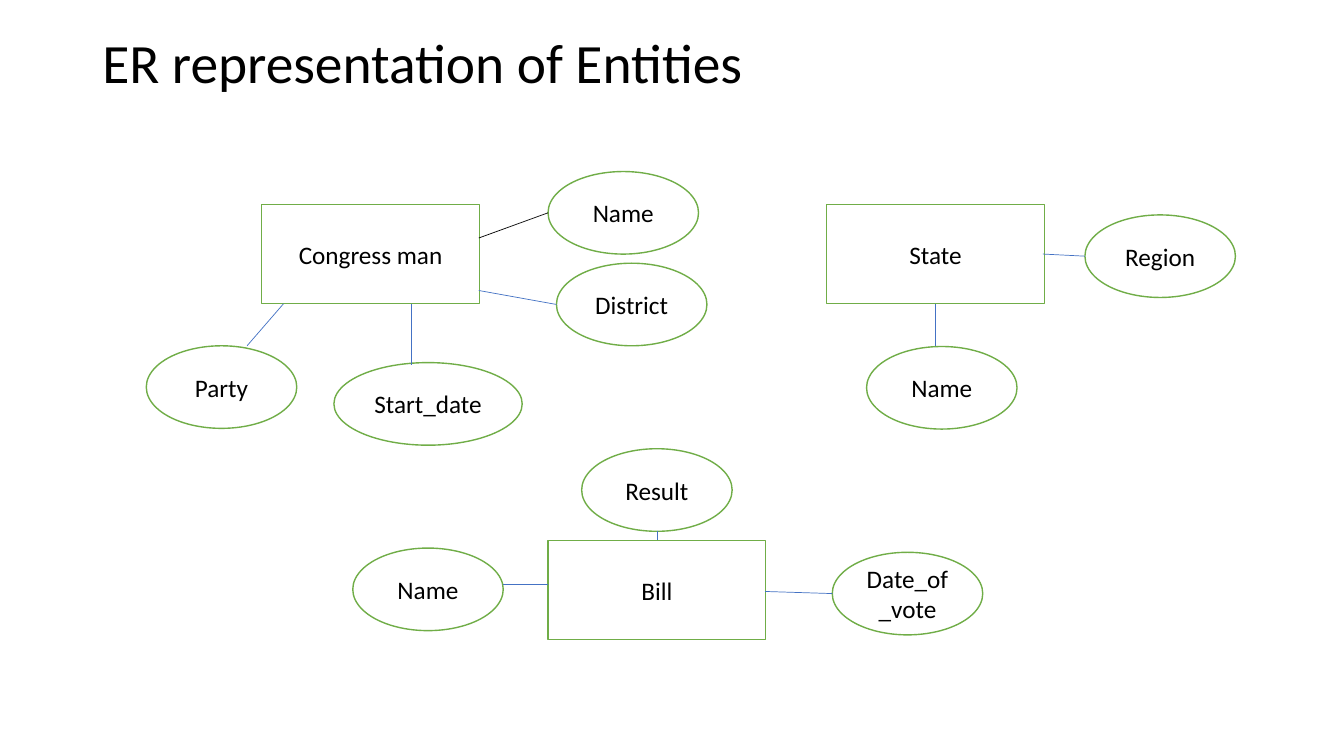
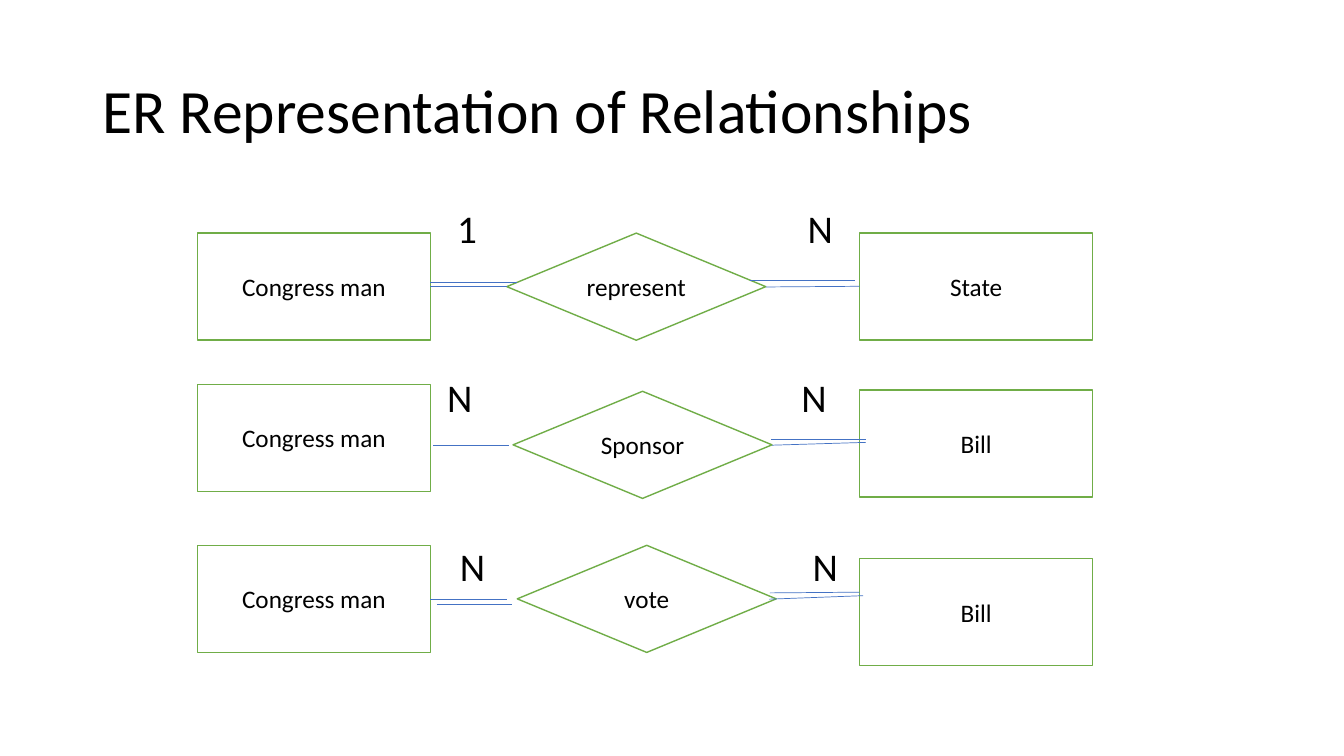
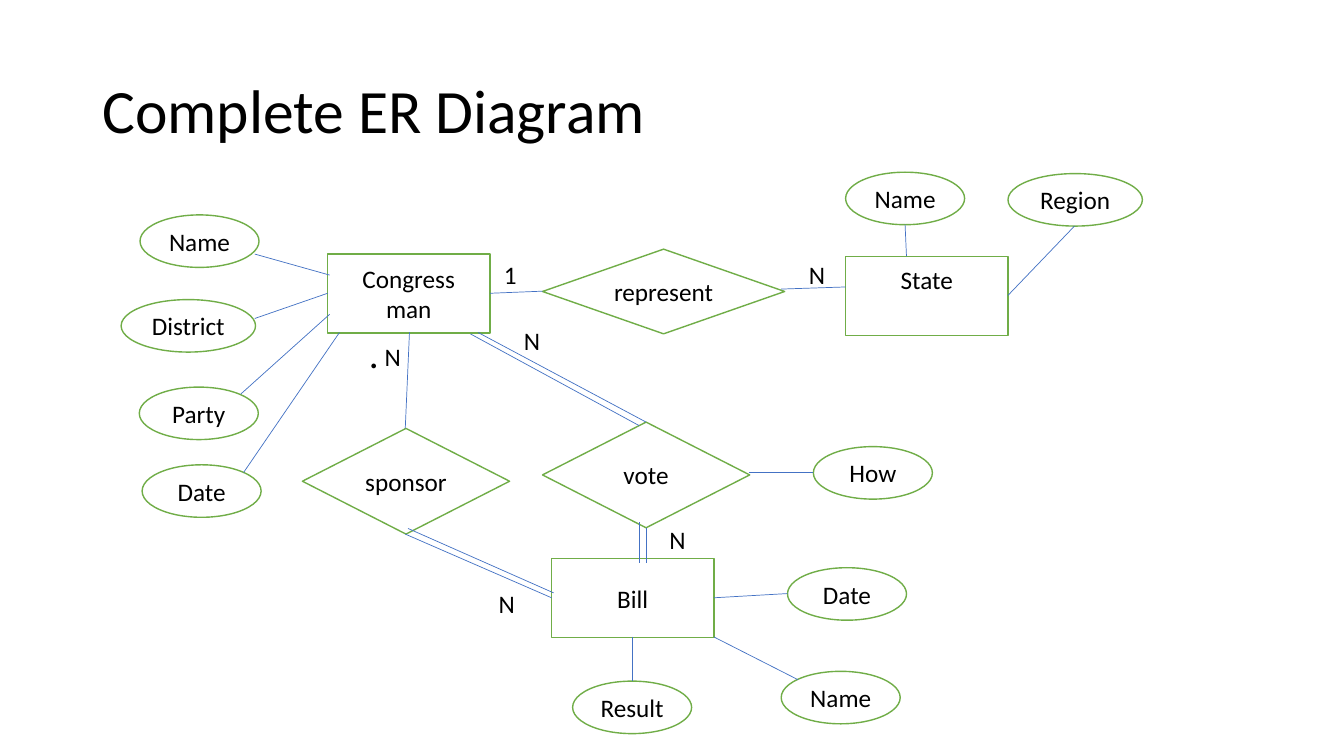
from lxml.etree import SubElement
from pptx import Presentation
from pptx.dml.color import RGBColor
from pptx.enum.shapes import MSO_CONNECTOR, MSO_SHAPE
from pptx.enum.text import MSO_ANCHOR, PP_ALIGN
from pptx.oxml.ns import qn
from pptx.util import Pt

FONT = "Calibri"
BLACK, WHITE, GREEN, BLUE = "000000", "FFFFFF", "70AD47", "4472C4"


def color(value):
    """Turn a hex string into a colour."""
    return RGBColor.from_string(value)


def write_text(frame, text, size=18, align=PP_ALIGN.CENTER, anchor=MSO_ANCHOR.MIDDLE,
               spacing=1.0, side_margin=7.2, top_margin=3.6):
    """Fill a text frame, one paragraph for each line of text."""
    frame.word_wrap = True
    frame.vertical_anchor = anchor
    frame.margin_left = frame.margin_right = Pt(side_margin)
    frame.margin_top, frame.margin_bottom = Pt(top_margin), Pt(3.6)
    for index, line in enumerate(text.split("\n")):
        paragraph = frame.paragraphs[0] if index == 0 else frame.add_paragraph()
        paragraph.alignment = align
        paragraph.line_spacing = spacing
        run = paragraph.add_run()
        run.text = line
        run.font.name = FONT
        run.font.size = Pt(size)
        run.font.color.rgb = color(BLACK)


class Diagram:
    """Draws entity-relationship slides in one style."""

    def __init__(self):
        """Start an empty widescreen presentation."""
        self.presentation = Presentation()
        self.presentation.slide_width = Pt(960)
        self.presentation.slide_height = Pt(540)
        self.slide = None

    def new_slide(self, title, size=44, height=104.5):
        """Add a blank slide with its title."""
        self.slide = self.presentation.slides.add_slide(self.presentation.slide_layouts[6])
        box = self.slide.shapes.add_textbox(Pt(66), Pt(28.8), Pt(828), Pt(height))
        write_text(box.text_frame, title, size=size, align=PP_ALIGN.LEFT, spacing=0.9)

    def node(self, kind, text, left, top, width, height, **text_format):
        """Add a white shape with a green outline and centred text."""
        shape = self.slide.shapes.add_shape(kind, Pt(left), Pt(top), Pt(width), Pt(height))
        shape.shadow.inherit = False
        shape.fill.solid()
        shape.fill.fore_color.rgb = color(WHITE)
        shape.line.color.rgb = color(GREEN)
        shape.line.width = Pt(1)
        write_text(shape.text_frame, text, **text_format)

    def entity(self, *place, **text_format):
        """Add an entity rectangle."""
        self.node(MSO_SHAPE.RECTANGLE, *place, **text_format)

    def attribute(self, *place, **text_format):
        """Add an attribute ellipse."""
        self.node(MSO_SHAPE.OVAL, *place, **text_format)

    def relationship(self, *place, **text_format):
        """Add a relationship diamond."""
        self.node(MSO_SHAPE.DIAMOND, *place, **text_format)

    def label(self, text, center_x, center_y, size=18):
        """Add a short text centred on a point."""
        width, height = 51, 44
        box = self.slide.shapes.add_textbox(
            Pt(center_x - width / 2), Pt(center_y - height / 2), Pt(width), Pt(height))
        write_text(box.text_frame, text, size=size)

    def link(self, start_x, start_y, end_x, end_y, line_color=BLUE):
        """Add a thin straight line."""
        connector = self.slide.shapes.add_connector(
            MSO_CONNECTOR.STRAIGHT, Pt(start_x), Pt(start_y), Pt(end_x), Pt(end_y))
        connector.line.color.rgb = color(line_color)
        connector.line.width = Pt(0.5)
        SubElement(connector._element.spPr, qn("a:effectLst"))

    def links(self, ends):
        """Add a line for each group of four coordinates."""
        for end in ends:
            self.link(*end)


def draw_entities(diagram):
    """Draw the entities with their attributes."""
    diagram.new_slide("ER representation of Entities", size=39.6, height=36)
    for text, left, top in [("Congress man", 187, 146), ("State", 590.5, 146),
                            ("Bill", 391.5, 386)]:
        diagram.entity(text, left, top, 155.5, 71)
    for text, left, top in [
            ("Party", 104.5, 247), ("District", 397.5, 188), ("Name", 391.5, 122.5),
            ("Region", 775, 153.5), ("Name", 619, 247.5), ("Result", 415.5, 320.5),
            ("Name", 252, 391.5), ("Date_of_vote", 594.5, 394.5)]:
        diagram.attribute(text, left, top, 107.5, 59)
    diagram.attribute("Start_date", 238.5, 259, 134.5, 59)
    diagram.link(342, 170, 391.5, 152, line_color=BLACK)
    diagram.links([
        (342, 207.5, 397.5, 217.5), (294, 217, 294, 260.5), (202.5, 217, 176.5, 247),
        (745, 181.5, 775, 183), (668, 217, 668, 247.5), (469.5, 379.5, 469.5, 386),
        (359.5, 417.5, 391.5, 417.5), (594.5, 424, 546.5, 422.5)])


def draw_relationships(diagram):
    """Draw one row for each relationship."""
    diagram.new_slide("ER Representation of Relationships")
    rows = [
        ("represent", 362, 166.5, 166.5, "State", 166.5, ("1", 333.5), ("N", 586)),
        ("Sponsor", 366.5, 279.5, 274.5, "Bill", 278.5, ("N", 328.5), ("N", 581.5)),
        ("vote", 369.5, 389.5, 389.5, "Bill", 399, ("N", 337.5), ("N", 589.5))]
    for row, (verb, verb_left, verb_top, left_top, target, target_top,
              *cardinalities) in enumerate(rows):
        diagram.entity("Congress man", 141, left_top, 166.5, 76.5)
        diagram.entity(target, 614, target_top, 166.5, 76.5)
        diagram.relationship(verb, verb_left, verb_top, 185, 76.5)
        for text, center_x in cardinalities:
            diagram.label(text, center_x, 163 + 120.5 * row, size=28)
    diagram.links([
        (307.5, 204.5, 362, 204.5), (307.5, 202, 369.5, 202),
        (547, 205, 614, 204.5), (535.5, 200, 610.5, 200),
        (309.5, 318, 363.5, 318),
        (551.5, 318, 618.5, 316), (551, 314, 618.5, 314),
        (307.5, 428, 362, 428), (312, 432, 366, 432),
        (549.5, 428, 616.5, 425.5), (550, 423.5, 614, 423)])


def draw_complete_diagram(diagram):
    """Draw all entities, attributes and relationships together."""
    diagram.new_slide("Complete ER Diagram")
    diagram.entity("Congress\nman", 234, 181.5, 116, 56.5)
    diagram.entity("Bill", 394, 399, 116, 56.5)
    diagram.entity("State", 604, 183, 116, 56.5, anchor=MSO_ANCHOR.TOP, top_margin=6)
    for text, left, top, width in [
            ("Name", 100, 153.5, 85), ("District", 86.5, 214, 96), ("Party", 99.5, 276.5, 85),
            ("Date", 101.5, 332, 85), ("Name", 604, 123, 85), ("Region", 720, 124, 96),
            ("How", 581, 319, 85), ("Date", 562.5, 405.5, 85), ("Name", 558, 479.5, 85),
            ("Result", 409, 486.5, 85)]:
        diagram.attribute(text, left, top, width, 37.5, side_margin=3)
    for place in [("represent", 387.5, 178, 173, 60.5), ("sponsor", 216, 306, 148, 75.5),
                  ("vote", 387.5, 301.5, 148, 75.5)]:
        diagram.relationship(*place, side_margin=3)
    for text, center_x, center_y in [
            ("1", 364.5, 196), ("N", 583.5, 196), ("N", 380, 243.5), ("N", 280.5, 254.5),
            ("N", 484, 385), ("N", 362, 431)]:
        diagram.label(text, center_x, center_y)
    diagram.label(".", 267, 252, size=28)
    diagram.links([
        (182, 181.5, 235.5, 196.5), (182, 227.5, 234, 209.5),
        (172, 281.5, 235.5, 224.5), (174, 337.5, 242.5, 237.5),
        (350, 209.5, 387.5, 208), (558, 206.5, 604, 205),
        (646.5, 160.5, 647.5, 183), (767.5, 161.5, 720, 211),
        (292.5, 237.5, 289.5, 306),
        (289.5, 381.5, 394, 427), (291.5, 377.5, 395.5, 423.5),
        (341.5, 237.5, 461.5, 301.5), (336, 238.5, 456.5, 304),
        (461.5, 377, 461.5, 402), (457, 373, 457, 402.5),
        (535, 337.5, 581, 337.5), (510, 427, 562.5, 424),
        (510, 455, 570, 485.5), (451.5, 455, 451.5, 486.5)])


def main():
    """Build and save the presentation."""
    diagram = Diagram()
    draw_entities(diagram)
    draw_relationships(diagram)
    draw_complete_diagram(diagram)
    diagram.presentation.save("out.pptx")


main()
